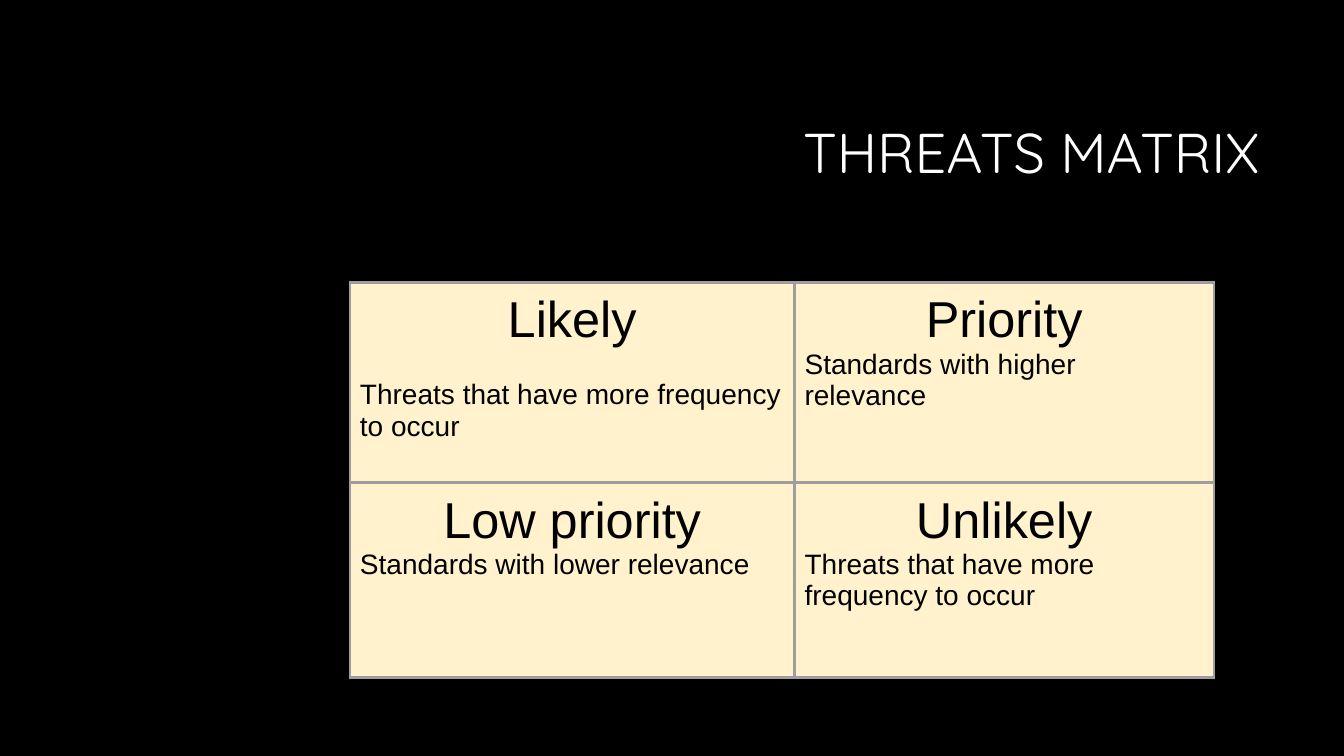
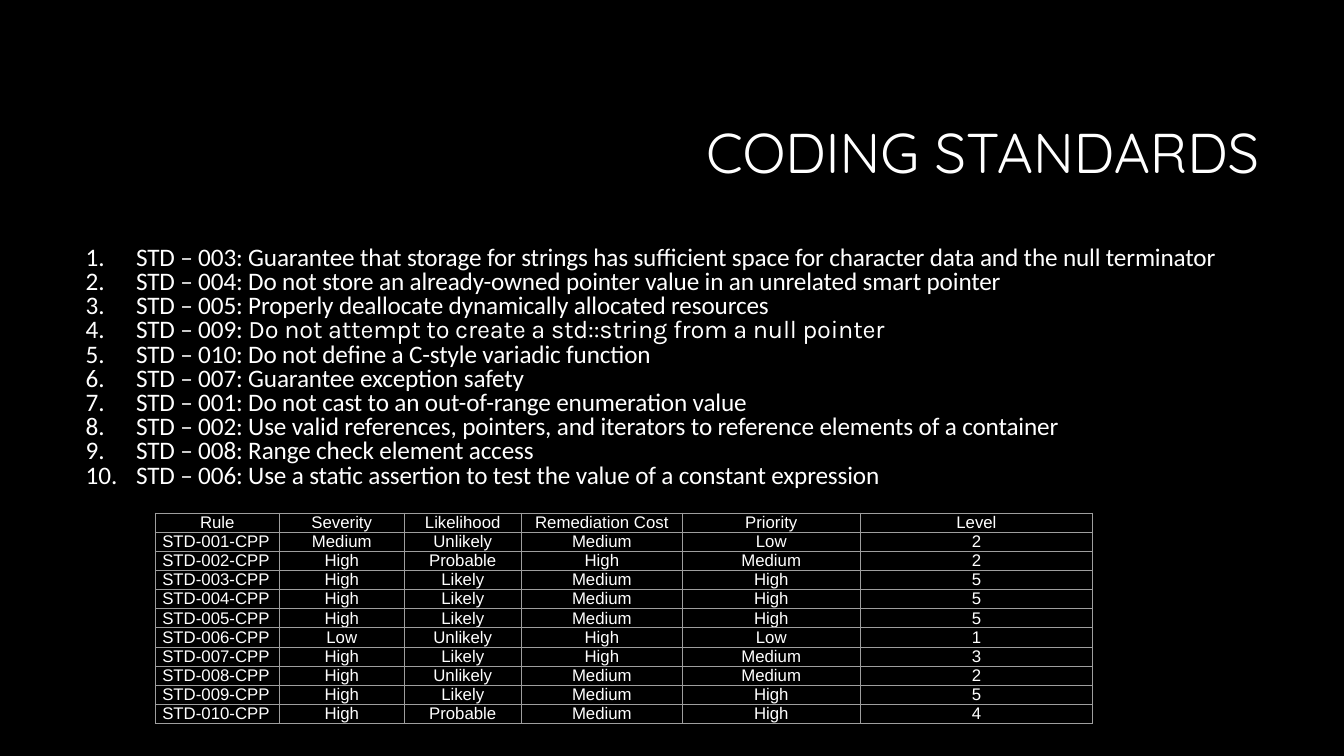
"""Build two dark slides: a threats matrix and a list of coding standards."""
from lxml.etree import SubElement
from pptx import Presentation
from pptx.dml.color import RGBColor
from pptx.enum.text import MSO_ANCHOR, MSO_AUTO_SIZE, PP_ALIGN
from pptx.oxml.ns import qn
from pptx.util import Inches, Pt

COLORS = {"background": "000000", "light": "FFFFFF", "dark": "000000",
          "cell": "FFF2CC", "border": "9E9E9E"}
WIDTH, HEIGHT = 13.33, 7.5
TITLE_BOX = (3.17, 0.84, 9.42, 1.41)
LIST_BOX = (0.75, 2.4, 11.83, 2.69)

THREATS = [
    [("Likely", "Threats that have more frequency to occur", 22),
     ("Priority", "Standards with higher relevance", 0)],
    [("Low priority", "Standards with lower relevance", 0),
     ("Unlikely", "Threats that have more frequency to occur", 0)],
]
STANDARDS = [
    ("003", "Guarantee that storage for strings has sufficient space for "
            "character data and the null terminator"),
    ("004", "Do not store an already-owned pointer value in an unrelated smart pointer"),
    ("005", "Properly deallocate dynamically allocated resources"),
    ("009", "Do not attempt to create a std::string from a null pointer"),
    ("010", "Do not define a C-style variadic function"),
    ("007", "Guarantee exception safety"),
    ("001", "Do not cast to an out-of-range enumeration value"),
    ("002", "Use valid references, pointers, and iterators to reference "
            "elements of a container"),
    ("008", "Range check element access"),
    ("006", "Use a static assertion to test the value of a constant expression"),
]
KARLA_STANDARDS = {"009"}
RATING_HEADER = ("Rule", "Severity", "Likelihood", "Remediation Cost", "Priority", "Level")
RATINGS = [
    ("Medium", "Unlikely", "Medium", "Low", "2"),
    ("High", "Probable", "High", "Medium", "2"),
    ("High", "Likely", "Medium", "High", "5"),
    ("High", "Likely", "Medium", "High", "5"),
    ("High", "Likely", "Medium", "High", "5"),
    ("Low", "Unlikely", "High", "Low", "1"),
    ("High", "Likely", "High", "Medium", "3"),
    ("High", "Unlikely", "Medium", "Medium", "2"),
    ("High", "Likely", "Medium", "High", "5"),
    ("High", "Probable", "Medium", "High", "4"),
]


def apply(target, formats):
    for name, value in formats.items():
        setattr(target, name, value)


def place(shape, box):
    apply(shape, dict(zip(("left", "top", "width", "height"), map(Inches, box))))


def write(paragraph, text, font, size, color, **formats):
    run = paragraph.add_run()
    run.text = text
    apply(run.font, {"name": font, "size": Pt(size), "bold": False})
    run.font.color.rgb = RGBColor.from_string(COLORS[color])
    apply(paragraph, formats)
    return run


def add_titled_slide(deck, layout, title):
    slide = deck.slides.add_slide(deck.slide_layouts[layout])
    place(slide.shapes.title, TITLE_BOX)
    frame = slide.shapes.title.text_frame
    apply(frame, {"vertical_anchor": MSO_ANCHOR.MIDDLE, "word_wrap": True,
                  "auto_size": MSO_AUTO_SIZE.NONE})
    write(frame.paragraphs[0], title, "Quicksand", 40, "light",
          alignment=PP_ALIGN.RIGHT, line_spacing=0.9)
    return slide


def add_bordered_table(slide, left, top, columns, rows, border, margins, fill=None):
    table = slide.shapes.add_table(
        len(rows), len(columns), Inches(left), Inches(top),
        Inches(sum(columns)), Inches(sum(rows))).table
    apply(table, {"first_row": False, "horz_banding": False})
    for column, width in zip(table.columns, columns):
        column.width = Inches(width)
    for row, height in zip(table.rows, rows):
        row.height = Inches(height)
    side, edge = map(Inches, margins)
    for cell in table.iter_cells():
        apply(cell, {"margin_left": side, "margin_right": side,
                     "margin_top": edge, "margin_bottom": edge})
        properties = cell._tc.get_or_add_tcPr()
        for line_name in ("a:lnL", "a:lnR", "a:lnT", "a:lnB"):
            line = SubElement(properties, qn(line_name), w=str(Pt(border)))
            solid = SubElement(line, qn("a:solidFill"))
            SubElement(solid, qn("a:srgbClr"), val=COLORS["border"])
        if fill:
            cell.fill.solid()
            cell.fill.fore_color.rgb = RGBColor.from_string(COLORS[fill])
        else:
            cell.fill.background()
    return table


def add_threats_matrix(deck):
    slide = add_titled_slide(deck, 5, "THREATS MATRIX")
    matrix = add_bordered_table(slide, 3.47, 2.8, (4.41, 4.16), (1.99, 1.93),
                                2.25, (0.1, 0.1), "cell")
    for row, threats in enumerate(THREATS):
        for column, (heading, detail, gap) in enumerate(threats):
            frame = matrix.cell(row, column).text_frame
            write(frame.paragraphs[0], heading, "Arial", 36, "dark",
                  alignment=PP_ALIGN.CENTER)
            write(frame.add_paragraph(), detail, "Arial", 20, "dark",
                  alignment=PP_ALIGN.LEFT, space_before=Pt(gap))


def number(paragraph):
    properties = paragraph._p.get_or_add_pPr()
    indent = Inches(0.5)
    properties.set("marL", str(indent))
    properties.set("indent", str(-indent))
    bullet_color = SubElement(properties, qn("a:buClr"))
    SubElement(bullet_color, qn("a:srgbClr"), val=COLORS["light"])
    SubElement(properties, qn("a:buFont"), typeface="+mj-lt")
    SubElement(properties, qn("a:buAutoNum"), type="arabicPeriod")


def add_coding_standards(deck):
    slide = add_titled_slide(deck, 1, "CODING STANDARDS")
    body = slide.placeholders[1]
    place(body, LIST_BOX)
    frame = body.text_frame
    apply(frame, {"auto_size": MSO_AUTO_SIZE.NONE, "word_wrap": True,
                  "vertical_anchor": MSO_ANCHOR.TOP})
    for index, (code, rule) in enumerate(STANDARDS):
        paragraph = frame.add_paragraph() if index else frame.paragraphs[0]
        rule_font = "Karla" if code in KARLA_STANDARDS else "Calibri"
        for text, font in ((f"STD – {code}: ", "Calibri"), (rule, rule_font)):
            run = write(paragraph, text, font, 18, "light", line_spacing=0.8,
                        space_before=Pt(0), alignment=PP_ALIGN.LEFT)
            run.font._element.set("spc", "-10")
        number(paragraph)

    rows = [RATING_HEADER] + [(f"STD-{index:03}-CPP", *rating)
                              for index, rating in enumerate(RATINGS, 1)]
    ratings = add_bordered_table(slide, 1.54, 5.09, (1.23, 1.24, 1.16, 1.6, 1.76, 2.31),
                                 [0.19] * len(rows), 0.75, (0.07, 0))
    for row, values in enumerate(rows):
        for column, value in enumerate(values):
            is_rule = row > 0 and column == 0
            write(ratings.cell(row, column).text_frame.paragraphs[0], value,
                  "Arial", 12, "light",
                  alignment=PP_ALIGN.LEFT if is_rule else PP_ALIGN.CENTER)


def main():
    deck = Presentation()
    apply(deck, {"slide_width": Inches(WIDTH), "slide_height": Inches(HEIGHT)})
    background = deck.slide_master.background.fill
    background.solid()
    background.fore_color.rgb = RGBColor.from_string(COLORS["background"])
    add_threats_matrix(deck)
    add_coding_standards(deck)
    deck.save("out.pptx")


if __name__ == "__main__":
    main()
